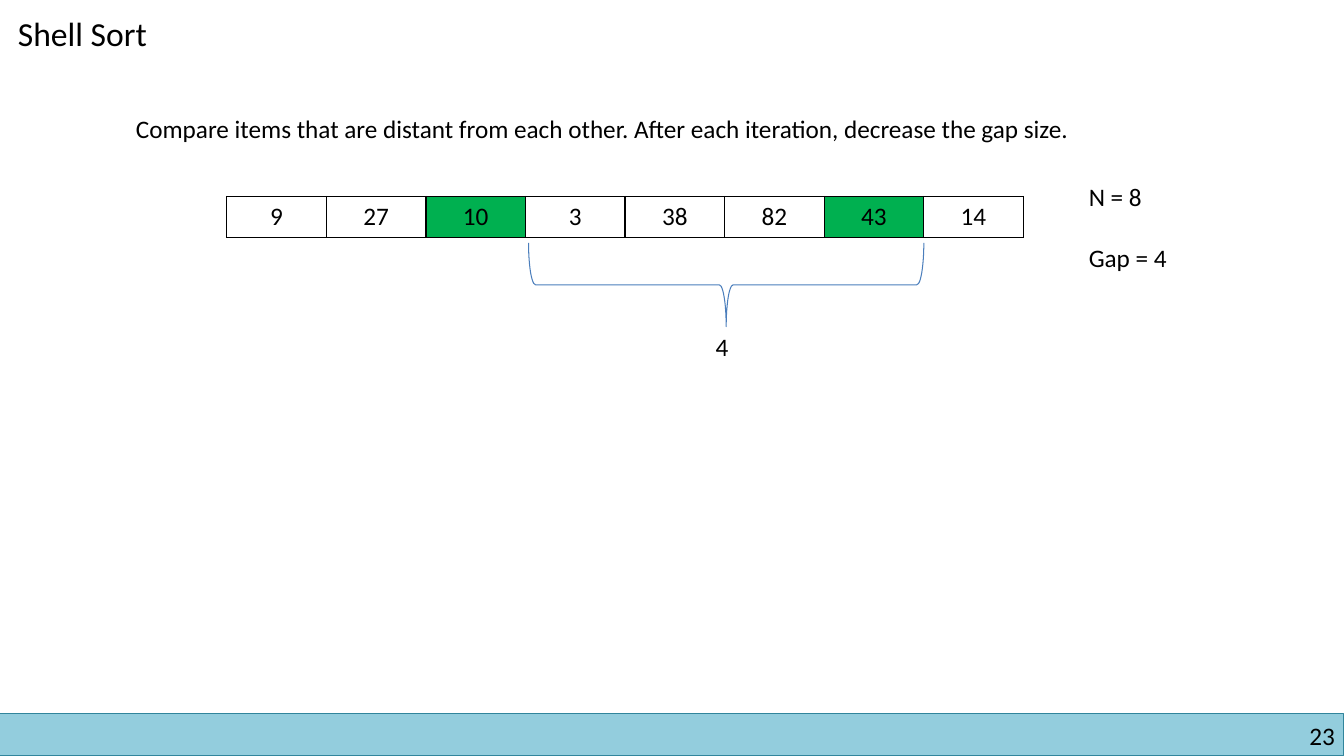
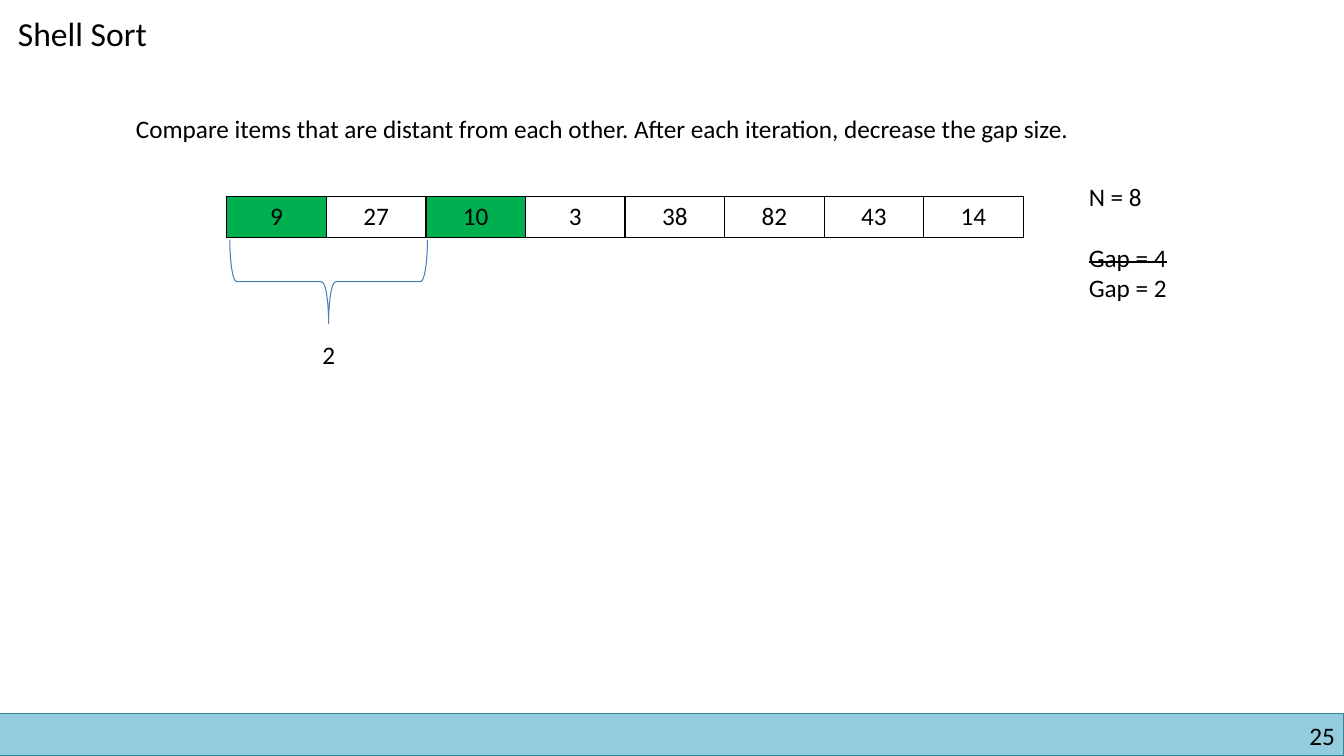
from dataclasses import dataclass

from lxml import etree
from pptx import Presentation
from pptx.dml.color import RGBColor
from pptx.enum.shapes import MSO_SHAPE
from pptx.enum.text import PP_ALIGN
from pptx.oxml.ns import qn
from pptx.util import Inches, Pt

RECTANGLE, LEFT_BRACE = MSO_SHAPE.RECTANGLE, MSO_SHAPE.LEFT_BRACE
LEFT, CENTER, RIGHT = PP_ALIGN.LEFT, PP_ALIGN.CENTER, PP_ALIGN.RIGHT

# Shared style
FONT = "Calibri"
TITLE_SIZE, BODY_SIZE = 24, 18
LINE_HEIGHT = 22
BLACK, WHITE, GREEN = "000000", "FFFFFF", "00B050"
BAND_FILL, BAND_LINE, BRACE_LINE = "93CDDD", "31859C", "4B7EBC"
SLIDE_WIDTH, SLIDE_HEIGHT = 13.33, 7.5
BAND_HEIGHT = 0.42

# Array geometry
VALUES = (9, 27, 10, 3, 38, 82, 43, 14)
ARRAY_LEFT, ARRAY_TOP, ARRAY_WIDTH, ARRAY_HEIGHT = 2.25, 1.95, 7.9, 0.41
CELL_WIDTH = ARRAY_WIDTH / len(VALUES)
BRACE_DEPTH, BRACE_INSET, BRACE_CELL_SPAN = 0.83, 0.03, 0.98

TITLE = "Shell Sort"
RULE = ("Compare items that are distant from each other. "
        "After each iteration, decrease the gap size.")


@dataclass(frozen=True)
class Step:
    """One stage of the sort: the gaps tried so far and the pair compared."""
    number: int
    gaps: tuple[int, ...]
    compared: tuple[int, int]
    brace_column: int
    brace_top: float
    label_left: float
    label_top: float


STEPS = (
    Step(23, (4,), (2, 6), 3, 2.41, 7.0, 3.24),
    Step(25, (4, 2), (0, 2), 0, 2.38, 3.1, 3.32),
)


def color(value: str) -> RGBColor:
    return RGBColor.from_string(value)


def format_text(paragraph, size: int = BODY_SIZE, align=LEFT) -> None:
    paragraph.alignment = align
    for run in paragraph.runs:
        run.font.name = FONT
        run.font.size = Pt(size)
        run.font.color.rgb = color(BLACK)


def add_text(slide, lines: list[str], left: float, top: float, width: float,
             height: float, size: int = BODY_SIZE, align=LEFT):
    shape = slide.shapes.add_textbox(
        Inches(left), Inches(top), Inches(width), Inches(height))
    text_frame = shape.text_frame
    text_frame.word_wrap = True
    text_frame.text = "\n".join(lines)
    for paragraph in text_frame.paragraphs:
        format_text(paragraph, size, align)
    return text_frame


def add_outlined_shape(slide, kind, left: float, top: float, width: float,
                       height: float, line: str):
    shape = slide.shapes.add_shape(
        kind, Inches(left), Inches(top), Inches(width), Inches(height))
    shape.shadow.inherit = False
    shape.fill.background()
    shape.line.color.rgb = color(line)
    shape.line.width = Pt(0.75)
    return shape


def add_frame(slide, number: int) -> None:
    """Footer band, slide number and title."""
    band = add_outlined_shape(slide, RECTANGLE, 0, SLIDE_HEIGHT - BAND_HEIGHT,
                              SLIDE_WIDTH, BAND_HEIGHT, BAND_LINE)
    band.fill.solid()
    band.fill.fore_color.rgb = color(BAND_FILL)
    footer = add_text(slide, [str(number)], 10.17, 7.15, 3.07, 0.3, align=RIGHT)
    footer.margin_left = footer.margin_right = 0
    footer.margin_top = footer.margin_bottom = 0
    add_text(slide, [TITLE], 0.08, 0.08, 1.66, 0.5, TITLE_SIZE)


def add_borders(cell) -> None:
    properties = cell._tc.get_or_add_tcPr()
    for side in ("lnL", "lnR", "lnT", "lnB"):
        border = etree.SubElement(properties, qn(f"a:{side}"), w=str(Pt(1)))
        fill = etree.SubElement(border, qn("a:solidFill"))
        etree.SubElement(fill, qn("a:srgbClr"), val=BLACK)


def add_array(slide, compared: tuple[int, int]) -> None:
    table = slide.shapes.add_table(
        1, len(VALUES), Inches(ARRAY_LEFT), Inches(ARRAY_TOP),
        Inches(ARRAY_WIDTH), Inches(ARRAY_HEIGHT)).table
    table.first_row = table.horz_banding = False
    for index, value in enumerate(VALUES):
        cell = table.cell(0, index)
        cell.text_frame.text = str(value)
        format_text(cell.text_frame.paragraphs[0], align=CENTER)
        add_borders(cell)
        cell.fill.solid()
        cell.fill.fore_color.rgb = color(GREEN if index in compared else WHITE)


def add_gap_list(slide, gaps: tuple[int, ...]) -> None:
    """Array size and gaps, with the finished gaps struck through."""
    lines = [f"N = {len(VALUES)}"] + [f"Gap = {gap}" for gap in gaps]
    text_frame = add_text(slide, lines, 10.7, 1.75, 1.11, 0.71 + 0.3 * len(gaps))
    gap_paragraphs = text_frame.paragraphs[1:]
    gap_paragraphs[0].space_before = Pt(LINE_HEIGHT)
    for paragraph in gap_paragraphs[:-1]:
        paragraph.runs[0].font._element.set("strike", "sngStrike")


def add_gap_brace(slide, step: Step) -> None:
    """Brace below the array; the left brace is turned to point down."""
    gap = step.gaps[-1]
    span = gap * BRACE_CELL_SPAN
    center_x = (ARRAY_LEFT + step.brace_column * CELL_WIDTH
                + BRACE_INSET + span / 2)
    center_y = step.brace_top + BRACE_DEPTH / 2
    brace = add_outlined_shape(
        slide, LEFT_BRACE, center_x - BRACE_DEPTH / 2, center_y - span / 2,
        BRACE_DEPTH, span, BRACE_LINE)
    brace.rotation = 270
    add_text(slide, [str(gap)], step.label_left, step.label_top, 0.34, 0.4)


def add_step(presentation, step: Step) -> None:
    slide = presentation.slides.add_slide(presentation.slide_layouts[6])
    add_frame(slide, step.number)
    add_text(slide, [RULE], 1.25, 1.08, 10.36, 0.4)
    add_array(slide, step.compared)
    add_gap_list(slide, step.gaps)
    add_gap_brace(slide, step)


def main() -> None:
    presentation = Presentation()
    presentation.slide_width = Inches(SLIDE_WIDTH)
    presentation.slide_height = Inches(SLIDE_HEIGHT)
    for step in STEPS:
        add_step(presentation, step)
    presentation.save("out.pptx")


if __name__ == "__main__":
    main()
